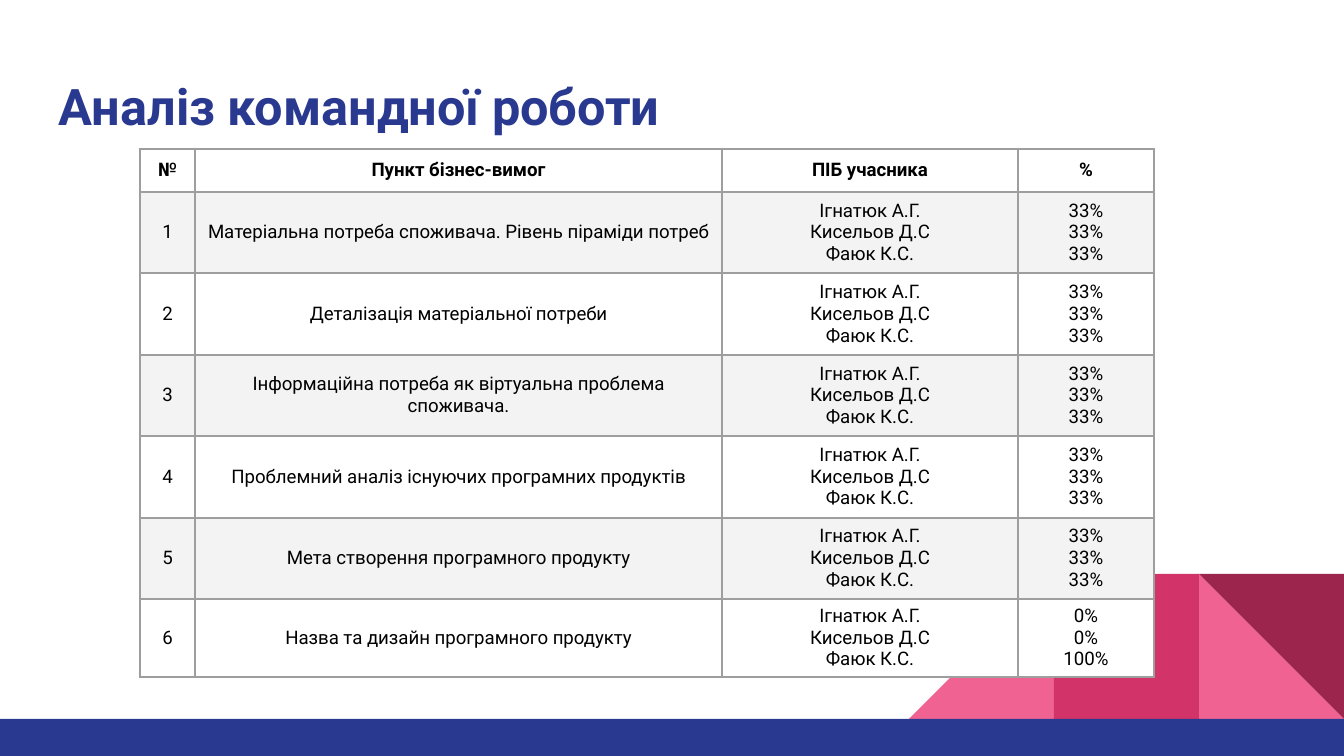
"""Build the teamwork analysis slide with its contribution table."""
from lxml import etree
from pptx import Presentation, util as u
from pptx.dml.color import RGBColor
from pptx.enum import shapes, text
from pptx.oxml.ns import qn


def px(n):
    return u.Emu(round(n * 9144000 / 1344))


def write(tf, content, size=10, color="000000", bold=False, align=text.PP_ALIGN.CENTER):
    for i, line in enumerate(content.split("\n")):
        p = tf.paragraphs[0] if i == 0 else tf.add_paragraph()
        p.alignment = align
        r = p.add_run()
        r.text = line
        r.font.name = "Roboto"
        r.font.size = u.Pt(size)
        r.font.bold = bold
        r.font.color.rgb = RGBColor.from_string(color)


prs = Presentation()
prs.slide_width, prs.slide_height = px(1344), px(756)
s = prs.slides.add_slide(prs.slide_layouts[6])

TRIANGLE, RECT = shapes.MSO_SHAPE.RIGHT_TRIANGLE, shapes.MSO_SHAPE.RECTANGLE
side, top = 145, 574
decor = [
    (TRIANGLE, 1344 - side, top, side, side, "F06292", 0, False),
    (TRIANGLE, 1344 - 3 * side, top, side, side, "F06292", 0, True),
    (RECT, 1344 - 2 * side, top, side, side, "D23369", 0, False),
    (TRIANGLE, 1344 - side, top, side, side, "9C254D", 180, False),
    (RECT, 0, top + side, 1344, 37, "2A3990", 0, False),
]
for kind, x, y, w, h, fill, rotation, flip in decor:
    sp = s.shapes.add_shape(kind, px(x), px(y), px(w), px(h))
    sp.shadow.inherit = False
    sp.fill.solid()
    sp.fill.fore_color.rgb = RGBColor.from_string(fill)
    sp.line.fill.background()
    sp.rotation = rotation
    if flip:
        sp._element.spPr.xfrm.set("flipH", "1")

title = s.shapes.add_textbox(px(46), px(60), px(1252), px(89))
tf = title.text_frame
tf.word_wrap = True
tf.vertical_anchor = text.MSO_ANCHOR.BOTTOM
tf.margin_left = tf.margin_right = tf.margin_top = tf.margin_bottom = px(13)
write(tf, "Аналіз командної роботи", size=27, color="2A3990", bold=True,
      align=text.PP_ALIGN.LEFT)

topics = [
    "Матеріальна потреба споживача. Рівень піраміди потреб",
    "Деталізація матеріальної потреби",
    "Інформаційна потреба як віртуальна проблема споживача.",
    "Проблемний аналіз існуючих програмних продуктів",
    "Мета створення програмного продукту",
    "Назва та дизайн програмного продукту",
]
members = "Ігнатюк А.Г.\nКисельов Д.С\nФаюк К.С."
shares = ["33%\n33%\n33%"] * 5 + ["0%\n0%\n100%"]
rows = [("№", "Пункт бізнес-вимог", "ПІБ учасника", "%")]
for n, (topic, share) in enumerate(zip(topics, shares), 1):
    rows.append((str(n), topic, members, share))

widths = [55, 527, 296, 136]
heights = [43, 81, 82, 81, 82, 81, 78]
table = s.shapes.add_table(len(rows), len(widths), px(140), px(149),
                           px(sum(widths)), px(sum(heights))).table
table.horz_banding = False
for column, width in zip(table.columns, widths):
    column.width = px(width)
for i, (row, height) in enumerate(zip(rows, heights)):
    table.rows[i].height = px(height)
    for j, content in enumerate(row):
        cell = table.cell(i, j)
        cell.vertical_anchor = text.MSO_ANCHOR.MIDDLE
        cell.margin_left = cell.margin_right = px(8)
        cell.margin_top = cell.margin_bottom = px(5)
        write(cell.text_frame, content, bold=i == 0)
        tcPr = cell._tc.get_or_add_tcPr()
        for edge in ("a:lnL", "a:lnR", "a:lnT", "a:lnB"):
            ln = etree.SubElement(tcPr, qn(edge), w=str(u.Pt(1.5)))
            fill = etree.SubElement(ln, qn("a:solidFill"))
            etree.SubElement(fill, qn("a:srgbClr"), val="9E9E9E")
        cell.fill.solid()
        cell.fill.fore_color.rgb = RGBColor.from_string("F3F3F3" if i % 2 else "FFFFFF")

prs.save("out.pptx")
